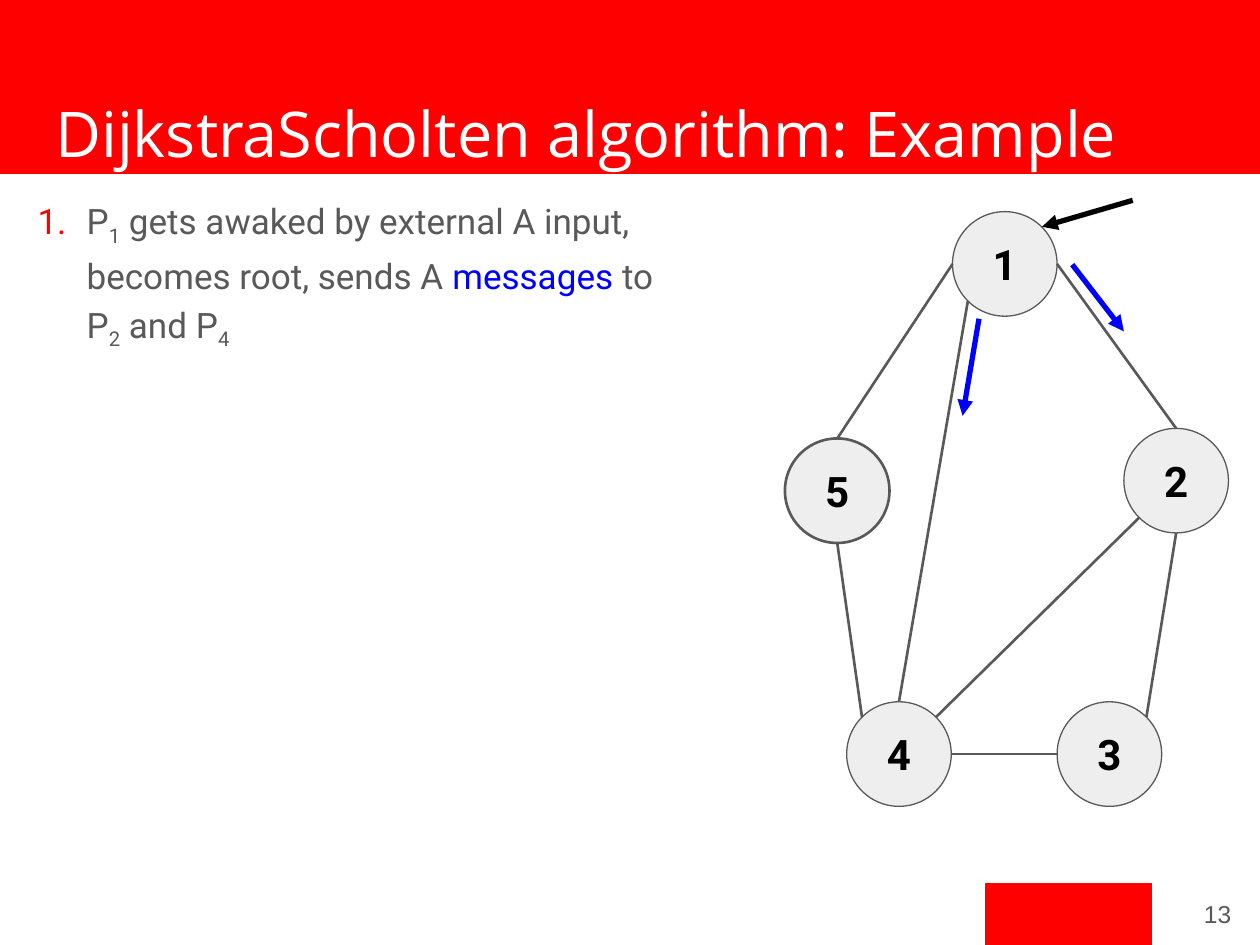
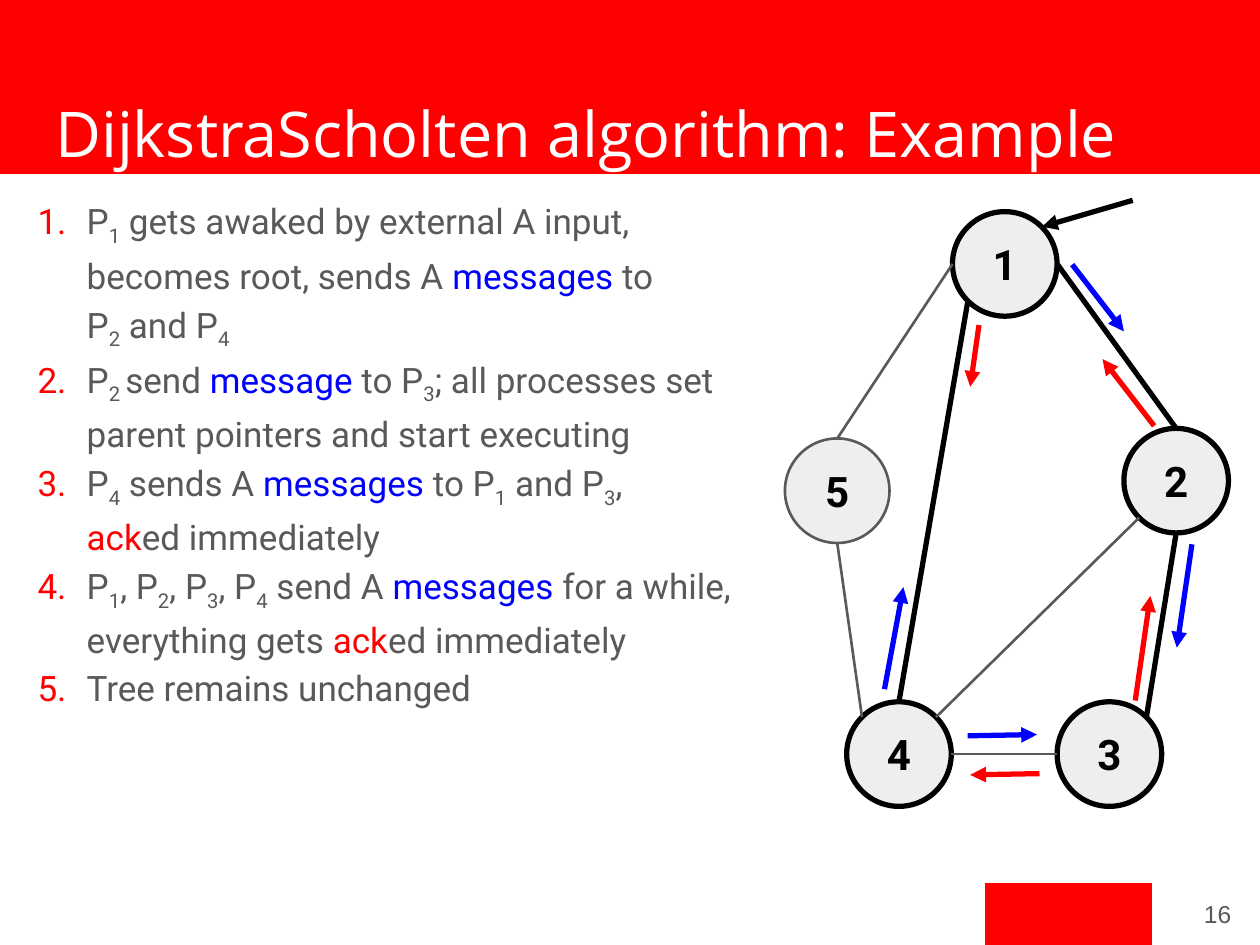
from dataclasses import dataclass
from math import cos, radians, sin

from lxml.etree import SubElement
from pptx import Presentation
from pptx.dml.color import RGBColor
from pptx.enum.shapes import MSO_CONNECTOR as Link, MSO_SHAPE as Shape
from pptx.enum.text import MSO_ANCHOR as Anchor, PP_ALIGN as Align
from pptx.oxml.ns import qn
from pptx.util import Inches, Pt


@dataclass(frozen=True)
class Theme:
    red: str = "FF0000"
    blue: str = "0000FF"
    black: str = "000000"
    white: str = "FFFFFF"
    gray: str = "595959"
    pale: str = "EEEEEE"
    head: str = "Open Sans"
    body: str = "Roboto"
    foot: str = "Arial"
    title: int = 36
    label: int = 24
    text: int = 20
    small: int = 14
    thin: float = 0.75
    mid: float = 1.5
    thick: float = 3


THEME = Theme()
MARKS = {"*": THEME.blue, "^": THEME.red}
SIZE = 0.83
NODES = {1: (7.56, 1.68), 2: (8.92, 3.4), 3: (8.39, 5.57), 4: (6.72, 5.57), 5: (6.23, 3.48)}
SITES = {"E": 0, "SE": 45, "S": 90, "SW": 135, "W": 180, "NW": 225, "N": 270, "NE": 315}
EDGES = [
    (4, "NW", 5, "S"), (4, "E", 3, "W"), (5, "N", 1, "W"), (4, "N", 1, "SW"),
    (2, "N", 1, "E"), (3, "NE", 2, "S"), (4, "NE", 2, "SW"),
]
WAKE = (8.99, 1.59, 8.27, 1.8, THEME.black)
ASK = (8.51, 2.1, 8.92, 2.63, THEME.blue)
STEPS = [
    "P|_1| gets awaked by external A input, becomes root, sends A |*messages| to\nP|_2| and P|_4",
    "P|_2 |send |*message| to P|_3|; all processes set parent pointers and start executing",
    "P|_4| sends A |*messages| to P|_1| and P|_3|,\n|^ack|ed immediately",
    "P|_1|, P|_2|, P|_3|, P|_4| send A |*messages| for a while, everything gets |^ack|ed immediately",
    "Tree remains unchanged",
]
PAGES = [
    dict(page=13, steps=STEPS[:1], tree=[], rim=(THEME.gray, THEME.thin),
         arrows=[WAKE, ASK, (7.77, 2.53, 7.64, 3.3, THEME.blue)]),
    dict(page=16, steps=STEPS, tree=[(4, 1), (2, 1), (3, 2)], rim=(THEME.black, THEME.thick),
         arrows=[
             WAKE,
             (7.68, 5.84, 8.23, 5.83, THEME.blue), (8.25, 6.14, 7.7, 6.15, THEME.red),
             (7.02, 5.47, 7.17, 4.66, THEME.blue), (7.77, 2.58, 7.7, 3.07, THEME.red),
             ASK, (9.16, 3.38, 8.75, 2.85, THEME.red),
             (9.46, 4.32, 9.34, 5.14, THEME.blue), (9.01, 5.56, 9.13, 4.73, THEME.red),
         ]),
]


def tint(color):
    return RGBColor.from_string(color)


def number(para, color, font):
    props = para._p.get_or_add_pPr()
    props.set("marL", str(Inches(0.5)))
    props.set("indent", str(Inches(-0.39)))
    SubElement(SubElement(props, qn("a:buClr")), qn("a:srgbClr"), val=color)
    SubElement(props, qn("a:buFont"), typeface=font)
    SubElement(props, qn("a:buAutoNum"), type="arabicPeriod")


def write(shape, *texts, font, size, color, bold=False, align=Align.LEFT,
          anchor=Anchor.TOP, space=None, list_color=None):
    frame = shape.text_frame
    frame.word_wrap = True
    frame.vertical_anchor = anchor
    frame.margin_left = frame.margin_right = Inches(0.1)
    frame.margin_top = frame.margin_bottom = Inches(0.1)
    for i, text in enumerate(texts):
        para = frame.add_paragraph() if i else frame.paragraphs[0]
        para.alignment = align
        para.line_spacing = space
        if list_color:
            number(para, list_color, font)
        for piece in text.split("|"):
            mark = piece[0]
            if mark == "_" or mark in MARKS:
                piece = piece[1:]
            for j, line in enumerate(piece.split("\n")):
                if j:
                    para.add_line_break()
                if not line:
                    continue
                run = para.add_run()
                run.text = line
                run.font.name, run.font.size, run.font.bold = font, Pt(size), bold
                run.font.color.rgb = tint(MARKS.get(mark, color))
                if mark == "_":
                    run._r.get_or_add_rPr().set("baseline", "-25000")


def site(node, side):
    left, top = NODES[node]
    angle, half = radians(SITES[side]), SIZE / 2
    return left + half * (1 + cos(angle)), top + half * (1 + sin(angle))


class Deck:
    """Hold the theme and the slide being drawn."""

    def __init__(self, theme):
        self.theme = theme
        self.file = Presentation()
        self.file.slide_width, self.file.slide_height = Inches(10), Inches(7.5)

    def shape(self, kind, box, fill, line, width):
        item = self.slide.shapes.add_shape(kind, *map(Inches, box))
        item.shadow.inherit = False
        item.fill.solid()
        item.fill.fore_color.rgb = tint(fill)
        item.line.color.rgb = tint(line)
        item.line.width = Pt(width)
        return item

    def text(self, box, *texts, **style):
        write(self.slide.shapes.add_textbox(*map(Inches, box)), *texts, **style)

    def line(self, start, end, color, width, arrow=False):
        item = self.slide.shapes.add_connector(Link.STRAIGHT, *map(Inches, (*start, *end)))
        item.line.color.rgb = tint(color)
        item.line.width = Pt(width)
        if arrow:
            SubElement(item.line._get_or_add_ln(), qn("a:tailEnd"), type="triangle")
        SubElement(item._element.spPr, qn("a:effectLst"))

    def node(self, name, color, width):
        t = self.theme
        disc = self.shape(Shape.OVAL, (*NODES[name], SIZE, SIZE), t.pale, color, width)
        write(disc, str(name), font=t.body, size=t.label, color=t.black, bold=True,
              align=Align.CENTER, anchor=Anchor.MIDDLE)

    def start(self, title, page):
        t = self.theme
        self.slide = self.file.slides.add_slide(self.file.slide_layouts[6])
        for box in (0, 0, 10, 1.38), (7.82, 7.01, 1.32, 0.49):
            self.shape(Shape.RECTANGLE, box, t.red, t.red, t.thin)
        self.text((0.34, 0.65, 9.32, 0.83), title, font=t.head, size=t.title, color=t.white)
        self.text((9.27, 6.97, 0.6, 0.57), str(page), font=t.foot, size=t.small,
                  color=t.gray, align=Align.RIGHT, anchor=Anchor.MIDDLE)

    def graph(self, tree, rim, arrows):
        t = self.theme
        plain, strong = (t.gray, t.mid), (t.black, t.thick)
        for name in NODES:
            self.node(name, *(plain if name == 5 else rim))
        for a, side, b, other in EDGES:
            self.line(site(a, side), site(b, other), *(strong if (a, b) in tree else plain))
        for x, y, to_x, to_y, color in arrows:
            self.line((x, y), (to_x, to_y), color, t.thick, arrow=True)

    def steps(self, texts):
        t = self.theme
        self.text((0.09, 1.43, 6.07, 4.98), *texts, font=t.body, size=t.text,
                  color=t.gray, space=1.15, list_color=t.red)


def main():
    deck = Deck(THEME)
    for page in PAGES:
        deck.start("DijkstraScholten algorithm: Example", page["page"])
        deck.graph(page["tree"], page["rim"], page["arrows"])
        deck.steps(page["steps"])
    deck.file.save("out.pptx")


if __name__ == "__main__":
    main()
